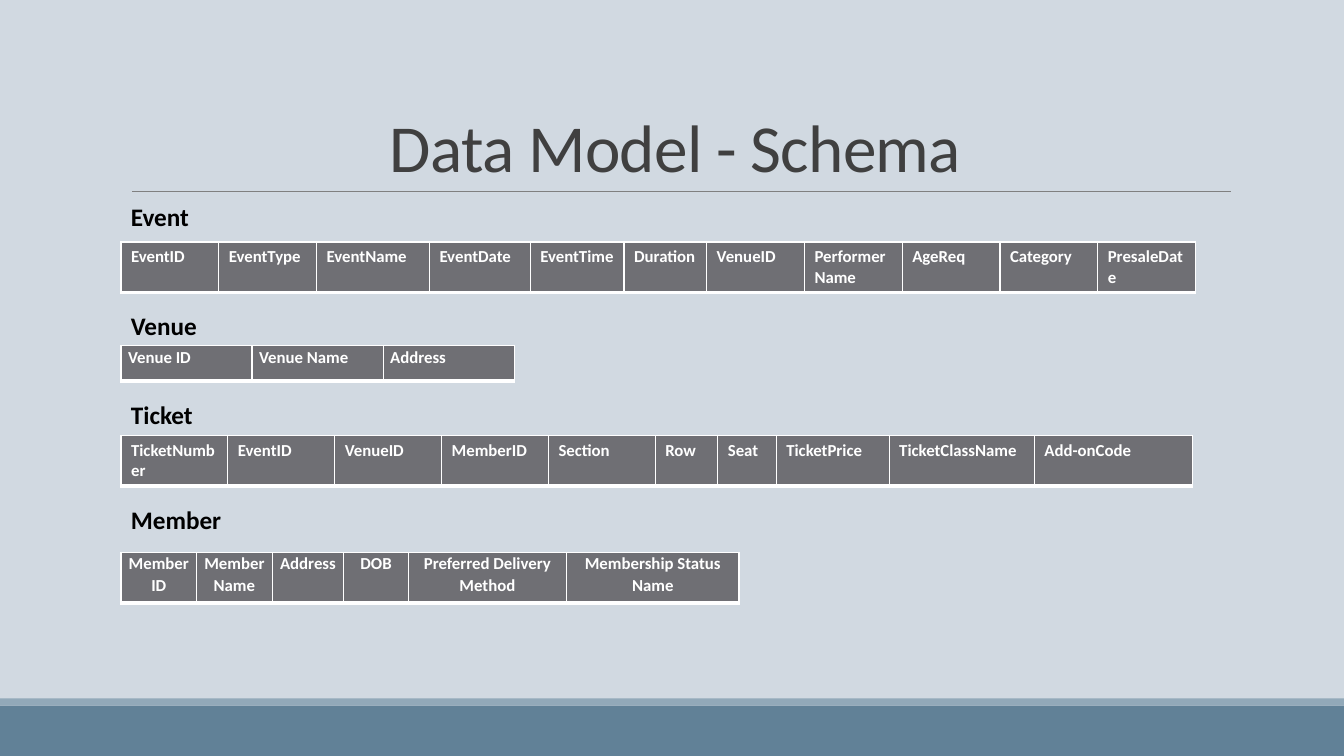
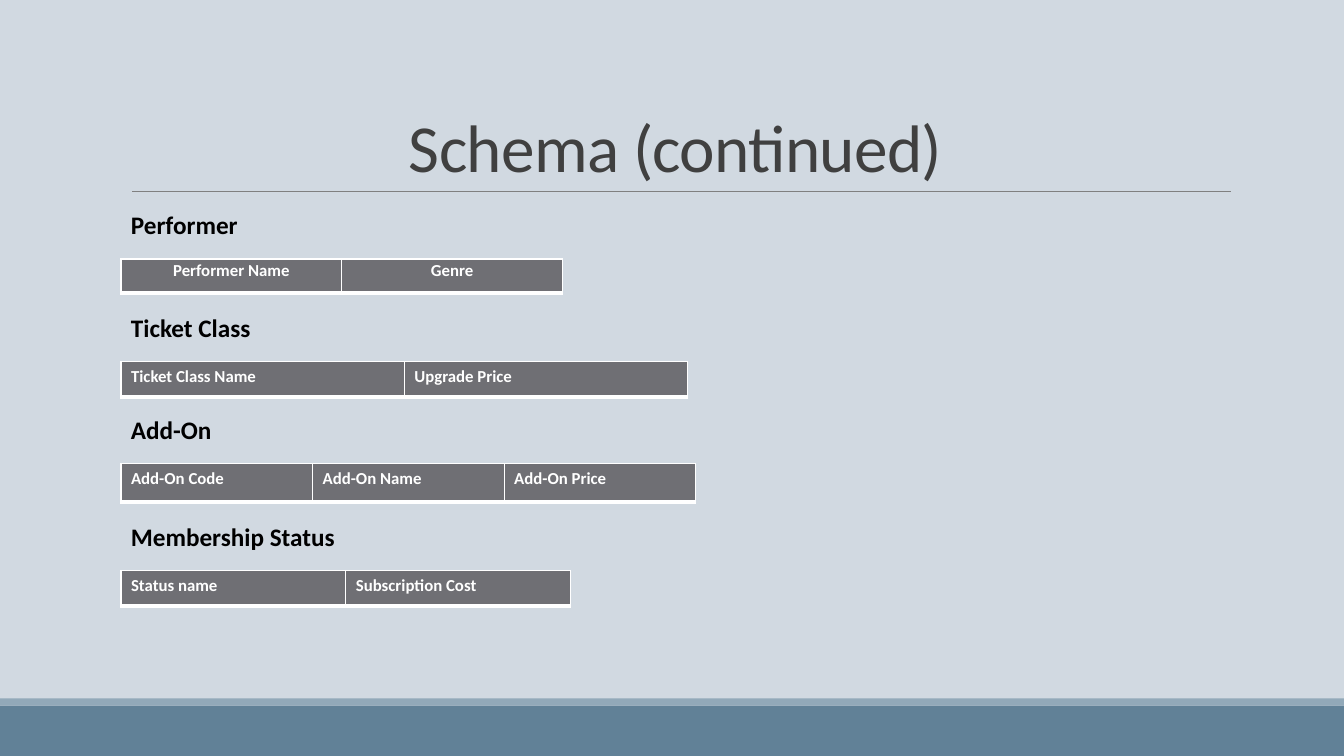
from lxml import etree
from pptx import Presentation
from pptx.dml.color import RGBColor
from pptx.enum.shapes import MSO_CONNECTOR, MSO_SHAPE
from pptx.enum.text import MSO_ANCHOR, MSO_AUTO_SIZE, PP_ALIGN
from pptx.oxml.ns import qn
from pptx.util import Inches, Pt

STRAIGHT = MSO_CONNECTOR.STRAIGHT
RECTANGLE = MSO_SHAPE.RECTANGLE
BOTTOM = MSO_ANCHOR.BOTTOM
NO_AUTOFIT = MSO_AUTO_SIZE.NONE
LEFT = PP_ALIGN.LEFT
CENTER = PP_ALIGN.CENTER

COLORS = {
    "background": "D1D9E1",
    "band": "618197",
    "band_edge": "92A9B9",
    "rule": "808080",
    "title": "404040",
    "heading": "000000",
    "cell": "6F6F74",
    "cell_text": "FFFFFF",
    "border": "FFFFFF",
}
FONT = "Calibri"
MARGIN = 1.2
BORDER_WIDTHS = {"a:lnL": 1, "a:lnR": 1, "a:lnT": 1, "a:lnB": 3}


def color(name):
    return RGBColor.from_string(COLORS[name])


class SchemaDeck:
    def __init__(self):
        self.presentation = Presentation()
        self.presentation.slide_width = Inches(13.33)
        self.presentation.slide_height = Inches(7.5)
        fill = self.presentation.slide_master.background.fill
        fill.solid()
        fill.fore_color.rgb = color("background")
        self.slide = None

    def add_slide(self, title):
        layout = self.presentation.slide_layouts.get_by_name("Title Only")
        self.slide = self.presentation.slides.add_slide(layout)
        self.band(7, 0.5, "band")
        self.band(6.93, 0.07, "band_edge")
        self.rule()
        self.title(title)

    def band(self, top, height, fill_name):
        shape = self.slide.shapes.add_shape(
            RECTANGLE, 0, Inches(top), self.presentation.slide_width, Inches(height))
        shape.shadow.inherit = False
        shape.fill.solid()
        shape.fill.fore_color.rgb = color(fill_name)
        shape.line.fill.background()

    def rule(self):
        connector = self.slide.shapes.add_connector(
            STRAIGHT, Inches(1.31), Inches(1.9), Inches(12.21), Inches(1.9))
        connector.line.color.rgb = color("rule")
        connector.line.width = Pt(0.5)
        etree.SubElement(connector._element.spPr, qn("a:effectLst"))

    def format_text(self, paragraph, size, color_name, bold=False):
        for run in paragraph.runs:
            run.font.name = FONT
            run.font.size = Pt(size)
            run.font.bold = bold
            run.font.color.rgb = color(color_name)

    def title(self, text):
        shape = self.slide.shapes.title
        shape.left, shape.top = Inches(MARGIN), Inches(0.31)
        shape.width, shape.height = Inches(11), Inches(1.59)
        text_frame = shape.text_frame
        text_frame.text = text
        text_frame.auto_size = NO_AUTOFIT
        text_frame.vertical_anchor = BOTTOM
        paragraph = text_frame.paragraphs[0]
        paragraph.alignment = CENTER
        paragraph.line_spacing = 0.85
        self.format_text(paragraph, 48, "title")
        for run in paragraph.runs:
            run._r.get_or_add_rPr().set("spc", "-50")

    def heading(self, text, top, width):
        shape = self.slide.shapes.add_textbox(
            Inches(MARGIN), Inches(top), Inches(width), Inches(0.4))
        shape.text_frame.word_wrap = True
        shape.text_frame.text = text
        self.format_text(shape.text_frame.paragraphs[0], 18, "heading", bold=True)

    def table(self, top, height, columns, compact=False, alignment=LEFT):
        total_width = sum(width for _, width in columns)
        table = self.slide.shapes.add_table(
            1, len(columns), Inches(MARGIN), Inches(top),
            Inches(total_width), Inches(height)).table
        table.horz_banding = False
        for index, (name, width) in enumerate(columns):
            table.columns[index].width = Inches(width)
            self.cell(table.cell(0, index), name, compact, alignment)

    def cell(self, cell, text, compact, alignment):
        cell.text = text
        paragraph = cell.text_frame.paragraphs[0]
        paragraph.alignment = alignment
        self.format_text(paragraph, 12, "cell_text", bold=True)
        if compact:
            cell.margin_left = cell.margin_right = Inches(0.07)
            cell.margin_top = cell.margin_bottom = 0
            paragraph.line_spacing = 1.07
        properties = cell._tc.get_or_add_tcPr()
        for tag, width in BORDER_WIDTHS.items():
            border = etree.SubElement(properties, qn(tag), w=str(Pt(width)))
            fill = etree.SubElement(border, qn("a:solidFill"))
            etree.SubElement(fill, qn("a:srgbClr"), val=COLORS["border"])
        cell.fill.solid()
        cell.fill.fore_color.rgb = color("cell")


def equal_columns(width, *names):
    return [(name, width) for name in names]


deck = SchemaDeck()

deck.add_slide("Data Model - Schema")
deck.heading("Event", 1.95, 2.61)
deck.table(2.4, 0.5, [
    *equal_columns(0.97, "EventID", "EventType"),
    ("EventName", 1.12), ("EventDate", 1), ("EventTime", 0.93), ("Duration", 0.82),
    *equal_columns(0.97, "VenueID", "PerformerName", "AgeReq", "Category", "PresaleDate"),
])
deck.heading("Venue", 3.03, 4.64)
deck.table(3.43, 0.35, equal_columns(1.3, "Venue ID", "Venue Name", "Address"), compact=True)
deck.heading("Ticket", 3.91, 4.64)
deck.table(4.32, 0.5, [
    *equal_columns(1.06, "TicketNumber", "EventID", "VenueID", "MemberID", "Section"),
    ("Row", 0.62), ("Seat", 0.58), ("TicketPrice", 1.12),
    ("TicketClassName", 1.44), ("Add-onCode", 1.57),
])
deck.heading("Member", 4.95, 4.64)
deck.table(5.48, 0.5, [
    *equal_columns(0.75, "Member ID", "Member Name"),
    ("Address", 0.71), ("DOB", 0.64),
    ("Preferred Delivery Method", 1.57), ("Membership Status Name", 1.71),
], compact=True, alignment=CENTER)

deck.add_slide("Schema (continued)")
deck.heading("Performer", 2.03, 2.47)
deck.table(2.57, 0.34, equal_columns(2.19, "Performer Name", "Genre"),
           compact=True, alignment=CENTER)
deck.heading("Ticket Class", 3.05, 2.47)
deck.table(3.59, 0.35, equal_columns(2.81, "Ticket Class Name", "Upgrade Price"))
deck.heading("Add-On", 4.06, 2.47)
deck.table(4.6, 0.38, equal_columns(1.9, "Add-On Code", "Add-On Name", "Add-On Price"))
deck.heading("Membership Status", 5.12, 2.47)
deck.table(5.66, 0.35, equal_columns(2.23, "Status name", "Subscription Cost"))

deck.presentation.save("out.pptx")
